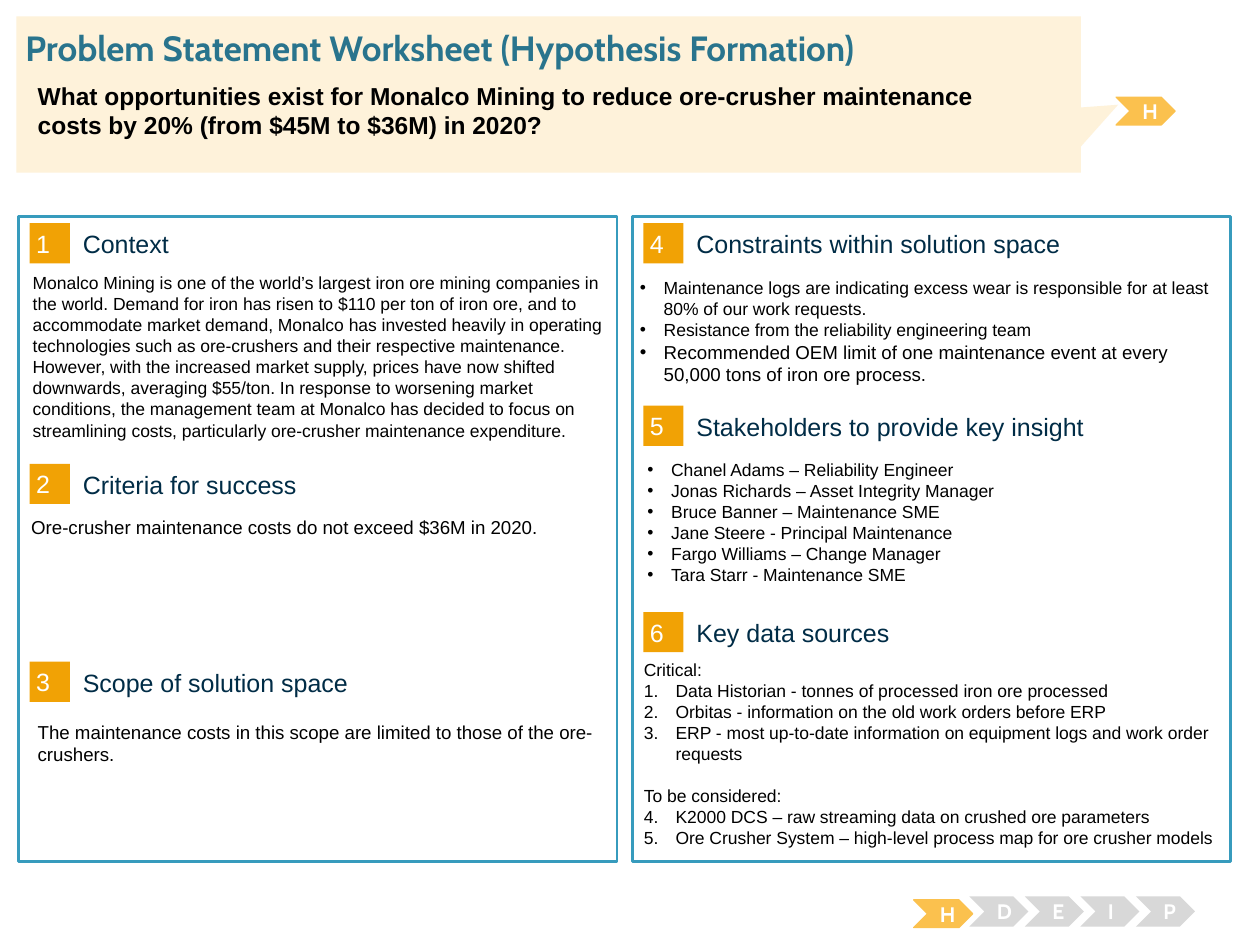
from lxml import etree
from pptx import Presentation
from pptx.dml.color import RGBColor
from pptx.enum.shapes import MSO_SHAPE as SHAPE
from pptx.enum.text import MSO_ANCHOR as ANCHOR, MSO_AUTO_SIZE as AUTOSIZE, PP_ALIGN as ALIGN
from pptx.oxml.ns import qn
from pptx.util import Cm, Pt

COLORS = {
    "text": "000000", "white": "FFFFFF", "heading": "002C46", "title": "29748D",
    "border": "379BBD", "number": "F1A205", "active": "FBC14E", "idle": "D8D8D8",
    "banner": "FEF2DA",
}
PAD = (0.25, 0.13)
BULLET = ("buChar", {"char": "•"}, 0.48)


def numbered(start=1):
    """Return the marker of a numbered list beginning at start."""
    return ("buAutoNum", {"type": "arabicPeriod", "startAt": str(start)}, 0.64)


class Worksheet:
    """Holds the slide and the style of its elements."""

    def __init__(self, s, font="Arial", display="Cabin", size=10):
        """Keep the slide and the default fonts and size."""
        self.s, self.font, self.display, self.size = s, font, display, size

    def color(self, name):
        """Look up a colour by name."""
        return RGBColor.from_string(COLORS[name])

    def frame(self, sp, pad=PAD, anchor=ANCHOR.TOP):
        """Set up the text frame of a shape."""
        tf = sp.text_frame
        tf.word_wrap, tf.auto_size, tf.vertical_anchor = True, AUTOSIZE.NONE, anchor
        tf.margin_left = tf.margin_right = Cm(pad[0])
        tf.margin_top = tf.margin_bottom = Cm(pad[1])
        return tf

    def para(self, tf, text, size=None, color="text", font=None, bold=False,
             align=ALIGN.LEFT, marker=None, before=0):
        """Write one paragraph, using the first one while it is empty."""
        p = tf.paragraphs[-1]
        if p.runs:
            p = tf.add_paragraph()
        p.alignment, p.space_before, p.space_after = align, Pt(before), Pt(0)
        self.mark(p, marker)
        r = p.add_run()
        r.text = text
        r.font.name, r.font.size = font or self.font, Pt(size or self.size)
        r.font.bold, r.font.color.rgb = bold, self.color(color)

    def mark(self, p, marker):
        """Give a paragraph its bullet or number and hanging indent."""
        pPr = p._p.get_or_add_pPr()
        tag, attrs, indent = marker or ("buNone", {}, 0)
        pPr.set("marL", str(Cm(indent)))
        pPr.set("indent", str(-Cm(indent)))
        if marker:
            clr = etree.SubElement(pPr, qn("a:buClr"))
            etree.SubElement(clr, qn("a:srgbClr"), val=COLORS["text"])
            etree.SubElement(pPr, qn("a:buFont"), typeface=self.font)
        etree.SubElement(pPr, qn("a:" + tag), attrs)

    def shape(self, kind, box, fill, line=None, width=0.75):
        """Add a filled preset shape."""
        sp = self.s.shapes.add_shape(kind, *map(Cm, box))
        sp.shadow.inherit = False
        sp.fill.solid()
        sp.fill.fore_color.rgb = self.color(fill)
        if line:
            sp.line.color.rgb, sp.line.width = self.color(line), Pt(width)
        else:
            sp.line.fill.background()
        return sp

    def text(self, box, text, pad=PAD, anchor=ANCHOR.TOP, **style):
        """Add a text box with one paragraph and return its frame."""
        tf = self.frame(self.s.shapes.add_textbox(*map(Cm, box)), pad, anchor)
        self.para(tf, text, **style)
        return tf

    def placeholder(self, idx, box, pad=PAD):
        """Move a placeholder to its box, in front of what is drawn so far."""
        ph = next(h for h in self.s.placeholders if h.placeholder_format.idx == idx)
        ph.left, ph.top, ph.width, ph.height = map(Cm, box)
        ph.element.getparent().append(ph.element)
        return self.frame(ph, pad)

    def section(self, number, x, y, heading):
        """Add a numbered square with its heading."""
        sp = self.shape(SHAPE.RECTANGLE, (x, y, 0.81, 0.81), "number")
        self.para(self.frame(sp, (0.13, 0.13), ANCHOR.MIDDLE), str(number),
                  size=14.3, color="white")
        self.text((x + 1.07, y + 0.09, 9.98, 0.64), heading, (0, 0), ANCHOR.MIDDLE,
                  size=14.3, color="heading")

    def stage(self, x, y, letter, active=False):
        """Add a chevron for one stage."""
        fill, height = ("active", 0.56) if active else ("idle", 0.61)
        sp = self.shape(SHAPE.CHEVRON, (x, y, 1.19, height), fill, fill if active else None)
        self.para(self.frame(sp, PAD, ANCHOR.MIDDLE), letter, size=12, color="white",
                  font=self.display, bold=True, align=ALIGN.CENTER)


prs = Presentation()
prs.slide_width, prs.slide_height = Cm(25.4), Cm(19.05)
ws = Worksheet(prs.slides.add_slide(prs.slide_layouts.get_by_name("Two Content")))

# Panels and section headings
for x in (0.38, 12.75):
    ws.shape(SHAPE.RECTANGLE, (x, 4.37, 12.06, 13.0), "white", "border", 1.5)
columns = [
    (0.6, [(4.5, "Context"), (9.35, "Criteria for success"),
           (13.34, "Scope of solution space")]),
    (12.97, [(4.5, "Constraints within solution space"),
             (8.18, "Stakeholders to provide key insight"), (12.34, "Key data sources")]),
]
number = 0
for x, sections in columns:
    for y, heading in sections:
        number += 1
        ws.section(number, x, y, heading)

# Left column
ws.text((0.41, 5.36, 12.01, 3.45),
        "Monalco Mining is one of the world’s largest iron ore mining companies in the world. "
        "Demand for iron has risen to $110 per ton of iron ore, and to accommodate market "
        "demand, Monalco has invested heavily in operating technologies such as ore-crushers "
        "and their respective maintenance. However, with the increased market supply, prices "
        "have now shifted downwards, averaging $55/ton. In response to worsening market "
        "conditions, the management team at Monalco has decided to focus on streamlining "
        "costs, particularly ore-crusher maintenance expenditure.")
ws.text((0.38, 10.26, 12.01, 2.79),
        "Ore-crusher maintenance costs do not exceed $36M in 2020.", size=10.7)
ws.text((0.51, 14.4, 12.01, 2.08),
        "The maintenance costs in this scope are limited to those of the ore-crushers.",
        size=10.7)

# Right column
constraints = ws.placeholder(1, (12.65, 5.46, 12.01, 3.0))
for text, size in [
    ("Maintenance logs are indicating excess wear is responsible for at least 80% of our "
     "work requests.", 10),
    ("Resistance from the reliability engineering team", 10),
    ("Recommended OEM limit of one maintenance event at every 50,000 tons of iron ore "
     "process.", 10.7),
]:
    ws.para(constraints, text, size=size, marker=BULLET)

stakeholders = ws.placeholder(2, (12.8, 9.12, 12.01, 3.0))
for person in ["Chanel Adams – Reliability Engineer", "Jonas Richards – Asset Integrity Manager",
               "Bruce Banner – Maintenance SME", "Jane Steere - Principal Maintenance",
               "Fargo Williams – Change Manager", "Tara Starr - Maintenance SME"]:
    ws.para(stakeholders, person, marker=BULLET)

sources = ws.text((12.73, 13.16, 12.01, 4.24), "Critical:")
for text in ["Data Historian - tonnes of processed iron ore processed",
             "Orbitas - information on the old work orders before ERP",
             "ERP - most up-to-date information on equipment logs and work order requests"]:
    ws.para(sources, text, marker=numbered())
ws.para(sources, "To be considered:", before=11.5)
for text in ["K2000 DCS – raw streaming data on crushed ore parameters",
             "Ore Crusher System – high-level process map for ore crusher models"]:
    ws.para(sources, text, marker=numbered(4))

# Stage tracker
for i, letter in enumerate("HDEIP"):
    ws.stage(18.42 + 1.12 * i, 18.07 if i else 18.14, letter, active=i == 0)
ws.stage(22.5, 1.96, "H", active=True)

# Banner with title and question
banner = ws.shape(SHAPE.RECTANGULAR_CALLOUT, (0.33, 0.33, 21.46, 3.15), "banner")
banner.adjustments[0], banner.adjustments[1] = 0.535, 0.066
title = ws.placeholder(0, (0.51, 0.53, 24.43, 0.86), (0, 0))
ws.para(title, "Problem Statement Worksheet (Hypothesis Formation)", size=20, color="title",
        font=ws.display, bold=True)
ws.text((0.51, 1.5, 20.65, 1.37),
        "What opportunities exist for Monalco Mining to reduce ore-crusher maintenance costs "
        "by 20% (from $45M to $36M) in 2020?", size=14, bold=True)

prs.save("out.pptx")
